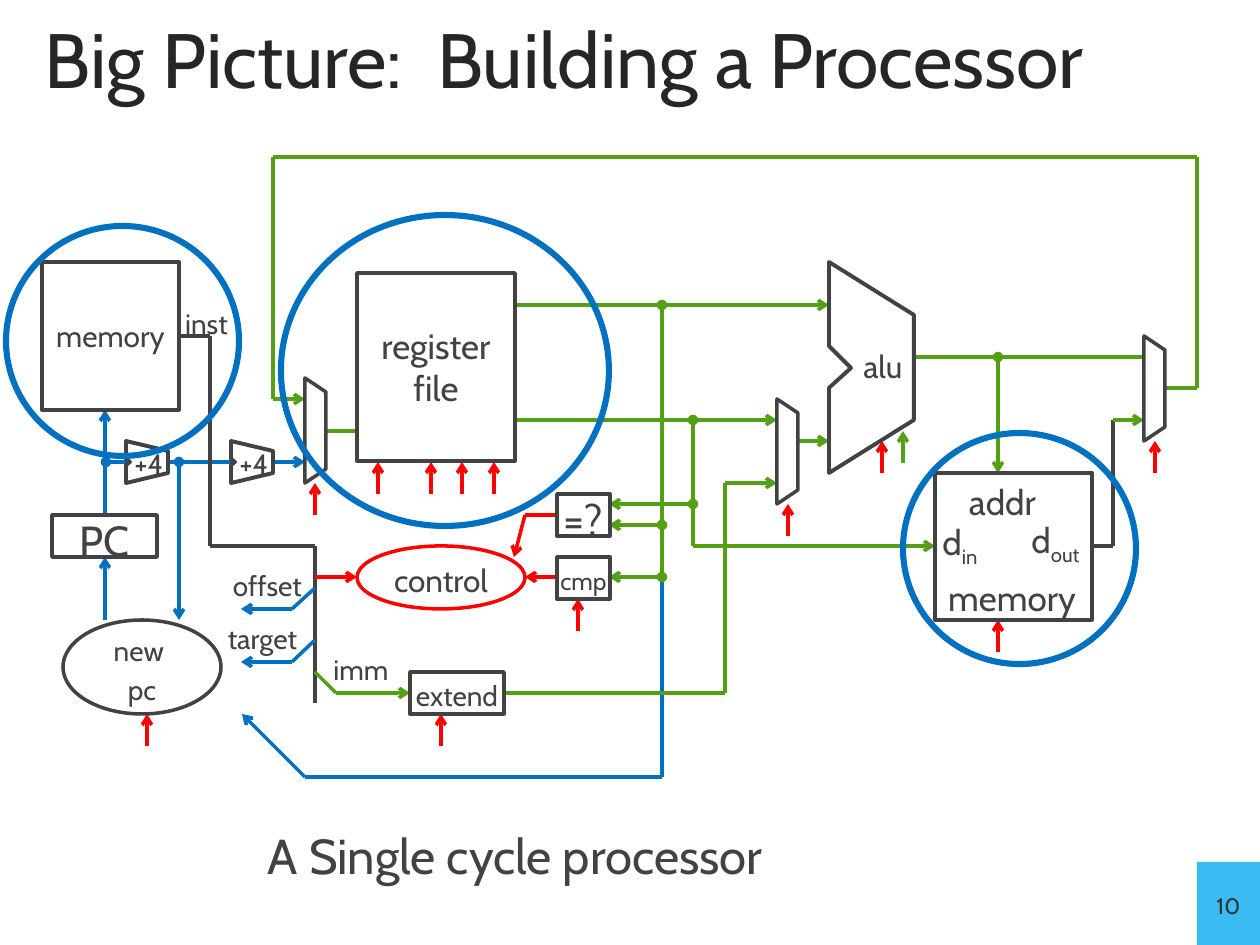
from itertools import pairwise
from lxml.etree import SubElement
from pptx import Presentation
from pptx.dml.color import RGBColor
from pptx.enum.shapes import MSO_CONNECTOR, MSO_SHAPE
from pptx.enum.text import MSO_ANCHOR as ANCHOR, MSO_AUTO_SIZE, PP_ALIGN as ALIGN
from pptx.oxml.ns import qn
from pptx.util import Pt

PX = 914400 // 126
FONT = "Cabin"
COLORS = {"ink": "424242", "title": "262626", "number": "323232", "tab": "3ABCF2",
          "white": "FFFFFF", "red": "FF0000", "green": "53A016", "blue": "0070C0"}

# Wires: colour, end mark at first point, end mark at last point, corner points
WIRES = [
    # register file outputs, alu operands and write-back
    ("green", None, "arrow", [(514, 305), (829, 305)]),
    ("green", None, "arrow", [(514, 420), (777, 420)]),
    ("green", None, "arrow", [(798, 441), (829, 441)]),
    ("green", None, None, [(914, 357), (1144, 357)]),
    ("green", "oval", "arrow", [(998, 357), (998, 473)]),
    ("green", None, "arrow", [(1166, 388), (1197, 388), (1197, 157), (273, 157),
                              (273, 399), (305, 399)]),
    ("green", None, None, [(357, 431), (325, 431)]),
    ("green", "oval", "arrow", [(693, 420), (693, 546), (935, 546)]),
    ("green", "oval", "arrow", [(693, 504), (609, 504)]),
    ("blue", None, "arrow", [(662, 577), (662, 777), (305, 777), (242, 714)]),
    ("green", "oval", "oval", [(662, 577), (662, 305)]),
    ("green", "oval", "arrow", [(662, 525), (609, 525)]),
    ("green", None, "arrow", [(662, 577), (609, 577)]),
    # data memory output
    ("ink", None, None, [(1092, 546), (1113, 546), (1113, 420)]),
    ("green", None, "arrow", [(1113, 420), (1144, 420)]),
    # program counter
    ("blue", "arrow", None, [(105, 410), (105, 515)]),
    ("blue", "arrow", None, [(105, 557), (105, 620)]),
    ("blue", "oval", "arrow", [(106, 462), (305, 462)]),
    ("blue", "oval", "arrow", [(179, 462), (179, 620)]),
    # instruction and its fields
    ("ink", None, None, [(179, 336), (210, 336), (210, 546), (315, 546), (315, 703)]),
    ("blue", None, "arrow", [(315, 588), (292, 609), (241, 609)]),
    ("blue", None, "arrow", [(315, 640), (292, 662), (241, 662)]),
    ("green", None, "arrow", [(315, 672), (336, 693), (410, 693)]),
    ("green", None, "arrow", [(504, 693), (725, 693), (725, 483), (777, 483)]),
    # control
    ("red", None, "arrow", [(315, 577), (357, 577)]),
    ("red", None, "arrow", [(557, 577), (525, 577)]),
    ("red", None, "arrow", [(557, 515), (525, 515), (514, 557)]),
]

# Short upward arrows: colour, x, tip y
SIGNALS = [("red", 998, 620), ("red", 578, 599), ("red", 1155, 441), ("red", 882, 441),
           ("red", 788, 504), ("red", 441, 714), ("red", 147, 714), ("red", 315, 483),
           ("red", 378, 462), ("red", 431, 462), ("red", 462, 462), ("red", 494, 462),
           ("green", 903, 431)]
SIGNAL_LENGTH = 32

# Blocks: shape, (left, top, width, height), line colour, text, text format
RECT, OVAL = MSO_SHAPE.RECTANGLE, MSO_SHAPE.OVAL
BLOCKS = [
    (RECT, (42, 262, 137, 148), "ink", "memory", dict(size=17, spacing=1)),
    (RECT, (357, 273, 158, 188), "ink", "register\vfile", dict(size=20, spacing=1)),
    (RECT, (935, 473, 157, 147), "ink", "", {}),
    (RECT, (52, 515, 105, 42), "ink", "PC", dict(size=24)),
    (OVAL, (63, 620, 158, 94), "ink", "new \vpc", dict(size=16, wrap=False)),
    (OVAL, (357, 546, 168, 63), "red", "control", dict(size=18, wrap=False)),
    (RECT, (557, 494, 53, 42), "ink", "=?", dict(size=24, inset=(0, 6))),
    (RECT, (557, 557, 53, 42), "ink", "cmp", dict(size=14, inset=(0, 6))),
    (RECT, (410, 672, 94, 42), "ink", "extend", dict(size=16, inset=(0, 6))),
]

MUXES = [(305, 378), (777, 399), (1144, 336)]
MUX = [(0, 0), (21, 14), (21, 91), (0, 105)]
ADDERS = [(126, 441), (231, 441)]
ADDER = [(0, 0), (42, 10), (42, 32), (0, 42), (0, 24), (4, 21), (0, 18)]
ALU = [(829, 262), (914, 315), (914, 420), (829, 473), (829, 388), (851, 368), (829, 346)]

# Free labels: (left, top, width, height), text, subscript, text format
LABELS = [
    ((851, 336, 64, 54), "alu", "", dict(size=18, wrap=False)),
    ((323, 651, 76, 32), "imm", "", dict(size=16, wrap=False)),
    ((231, 620, 63, 32), "target", "", dict(size=16, wrap=False)),
    ((231, 567, 73, 32), "offset", "", dict(size=16, wrap=False)),
    ((179, 305, 55, 32), "inst", "", dict(size=16, wrap=False)),
    ((919, 567, 186, 54), "memory", "", dict(size=20)),
    ((935, 471, 135, 54), "addr", "", dict(size=20)),
    ((924, 514, 72, 54), "d", "in", dict(size=20)),
    ((1008, 514, 95, 50), "d", "out", dict(size=20)),
    ((32, 21, 1197, 73), "Big Picture:  Building a Processor", "",
     dict(size=44, color="title", align=ALIGN.LEFT, spacing=1)),
    ((255, 819, 566, 72), "A Single cycle processor", "",
     dict(size=28, align=ALIGN.LEFT, anchor=ANCHOR.TOP, spacing=1, wrap=False)),
]

HIGHLIGHTS = [(281, 215, 328, 311), (6, 226, 233, 230), (903, 433, 233, 231)]

deck = Presentation()
deck.slide_width, deck.slide_height = 1260 * PX, 945 * PX
page = deck.slides.add_slide(deck.slide_layouts[6])


def rgb(name):
    return RGBColor.from_string(COLORS[name])


def emu(values):
    return [value * PX for value in values]


def write(box, text, size=16, sub="", color="ink", align=ALIGN.CENTER,
          anchor=ANCHOR.MIDDLE, spacing=1.16, wrap=True, inset=(13, 6), caps=False):
    frame = box.text_frame
    frame.word_wrap, frame.auto_size = wrap, MSO_AUTO_SIZE.NONE
    frame.vertical_anchor = anchor
    frame.margin_left = frame.margin_right = inset[0] * PX
    frame.margin_top = frame.margin_bottom = inset[1] * PX
    para = frame.paragraphs[0]
    para.text, para.alignment, para.line_spacing = text, align, spacing
    if sub:
        span = para.add_run()
        span.text = sub
        span.font._element.set("baseline", "-25000")
    for span in para.runs:
        span.font.name, span.font.size = FONT, Pt(size)
        span.font.color.rgb = rgb(color)
        if caps:
            span.font._element.set("cap", "small")


def paint(shape, line=None, fill=None, width=2):
    shape.shadow.inherit = False
    if fill:
        shape.fill.solid()
        shape.fill.fore_color.rgb = rgb(fill)
    else:
        shape.fill.background()
    if line:
        shape.line.color.rgb, shape.line.width = rgb(line), Pt(width)
    else:
        shape.line.fill.background()
    return shape


def add_block(kind, area, **style):
    return paint(page.shapes.add_shape(kind, *emu(area)), **style)


def add_label(area, text, **style):
    write(page.shapes.add_textbox(*emu(area)), text, **style)


def add_outline(points, origin=(0, 0), **style):
    corners = [(origin[0] + x, origin[1] + y) for x, y in points]
    builder = page.shapes.build_freeform(*corners[0], scale=PX)
    builder.add_line_segments(corners[1:], close=True)
    paint(builder.convert_to_shape(), line="ink", **style)


def add_wire(color, head, tail, points):
    segments = list(pairwise(points))
    for index, (start, end) in enumerate(segments):
        wire = page.shapes.add_connector(MSO_CONNECTOR.STRAIGHT, *emu(start + end))
        wire.line.color.rgb, wire.line.width = rgb(color), Pt(2)
        properties = wire._element.spPr
        SubElement(properties, qn("a:effectLst"))
        line = properties.find(qn("a:ln"))
        if head and index == 0:
            SubElement(line, qn("a:headEnd"), type=head)
        if tail and index == len(segments) - 1:
            SubElement(line, qn("a:tailEnd"), type=tail)


# Page number
write(add_block(RECT, (1197, 862, 63, 83), fill="tab"), "10",
      color="number", spacing=1, wrap=False, caps=True)

# Wires and control signals
for wire_spec in WIRES:
    add_wire(*wire_spec)
for color, x, tip in SIGNALS:
    add_wire(color, None, "arrow", [(x, tip + SIGNAL_LENGTH), (x, tip)])

# Processor parts
for kind, area, line, text, style in BLOCKS:
    block = add_block(kind, area, line=line)
    if text:
        write(block, text, **style)
add_outline(ALU, width=2.25)
for origin in MUXES:
    add_outline(MUX, origin)
for x, y in ADDERS:
    add_outline(ADDER, (x, y), fill="white", width=2.25)
    add_label((x + 12, y + 4, 22, 32), "+4", wrap=False, inset=(0, 0))

# Labels and highlight rings
for area, text, sub, style in LABELS:
    add_label(area, text, sub=sub, **style)
for area in HIGHLIGHTS:
    add_block(OVAL, area, line="blue", width=3.5)

deck.save("out.pptx")
